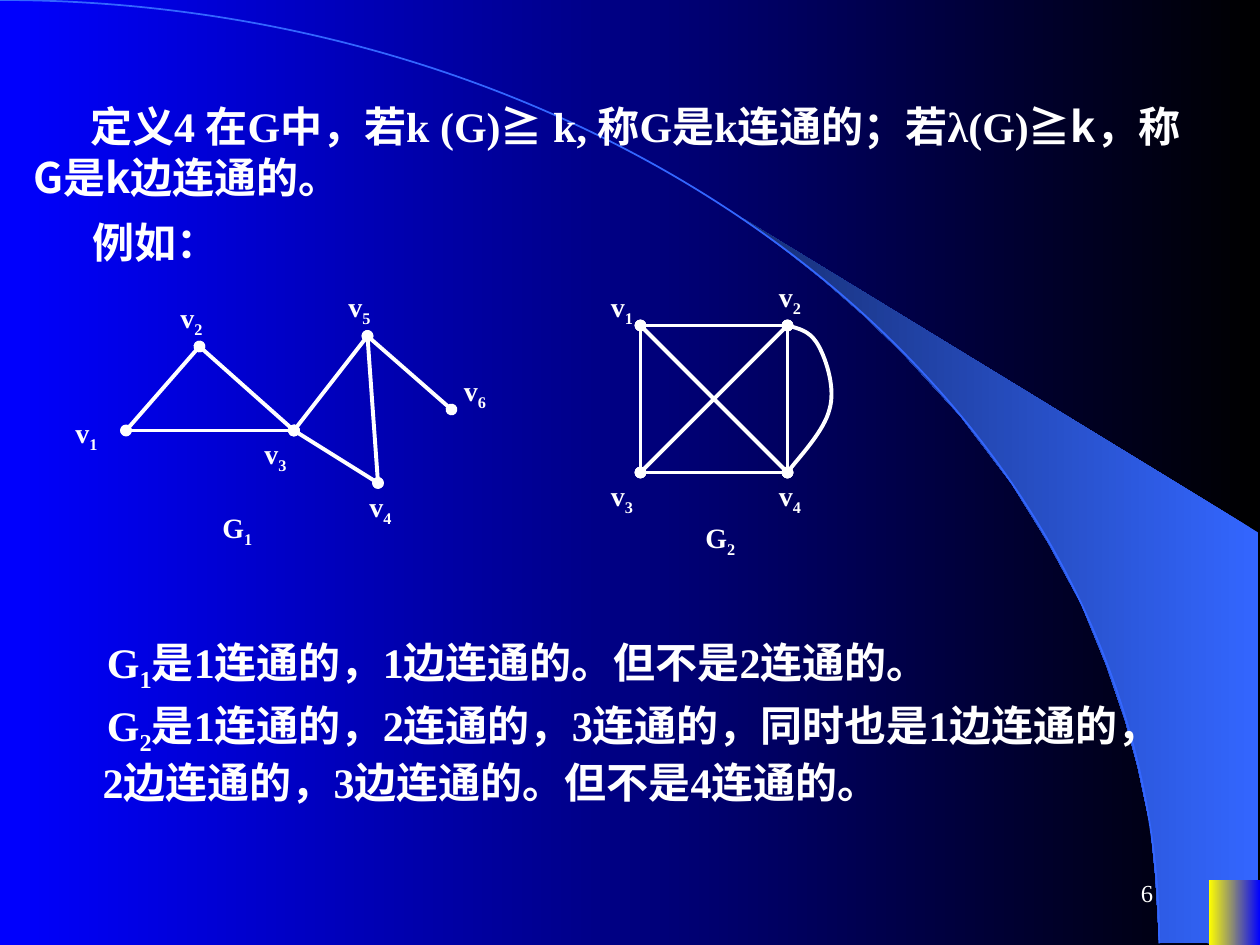
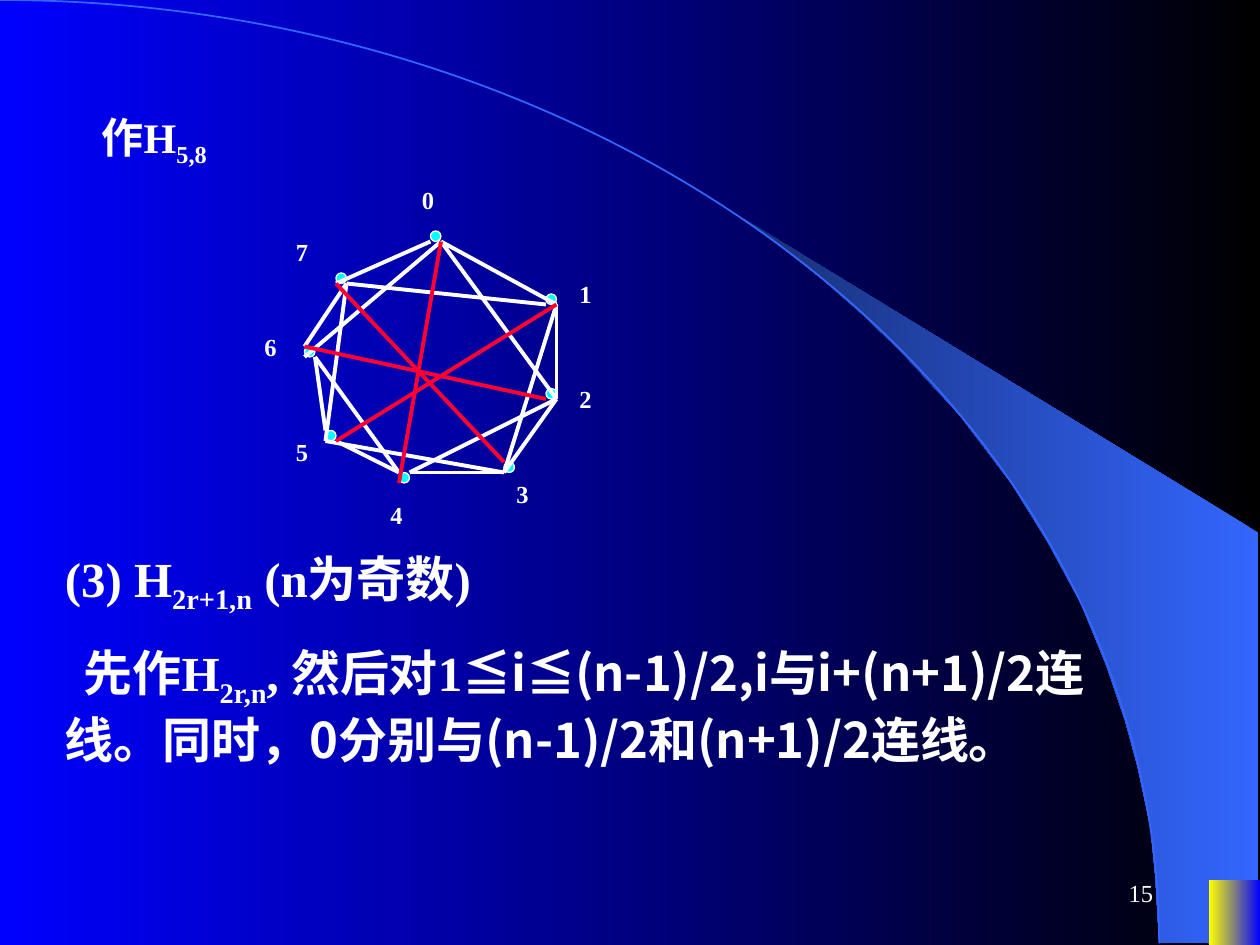
"""Two slides on k-connected graphs, laid out on a grid of twelfths of an inch."""
from lxml import etree
from pptx import Presentation
from pptx.dml.color import RGBColor
from pptx.enum.shapes import MSO_CONNECTOR, MSO_SHAPE
from pptx.enum.text import MSO_ANCHOR, MSO_AUTO_SIZE, PP_ALIGN
from pptx.oxml.ns import qn
from pptx.util import Inches, Pt

STRAIGHT = MSO_CONNECTOR.STRAIGHT
RECT, OVAL, ARC = MSO_SHAPE.RECTANGLE, MSO_SHAPE.OVAL, MSO_SHAPE.ARC
MIDDLE, GROW = MSO_ANCHOR.MIDDLE, MSO_AUTO_SIZE.SHAPE_TO_FIT_TEXT
RIGHT = PP_ALIGN.RIGHT

WHITE = RGBColor(0xFF, 0xFF, 0xFF)
BLACK = RGBColor(0, 0, 0)
BLUE = RGBColor(0, 0, 0xFF)
SKY = RGBColor(0x33, 0x66, 0xFF)
NAVY = RGBColor(0x17, 0x2F, 0x75)
YELLOW = RGBColor(0xFF, 0xFF, 0)
CYAN = RGBColor(0, 0xFF, 0xFF)
RED = RGBColor(0xFF, 0, 0x33)
SERIF, SANS = "Times New Roman", "Noto Sans CJK SC"
CELL = Inches(1) / 12

WEDGE = [(9.2, 7.48), (9.99, 7.49), (9.99, 4.23), (5.89, 1.73), (6.24, 1.99),
         (6.53, 2.22), (6.85, 2.5), (7.16, 2.8), (7.62, 3.3), (8.03, 3.84),
         (8.32, 4.31), (8.58, 4.79), (8.78, 5.28), (8.93, 5.72), (9.03, 6.09),
         (9.13, 6.56), (9.17, 6.96)]
SWEEP = (-110.4, 0, 220.8, 179.7)
CORNER = (115.15, 83.8, 4.85, 6.2)
FOOTER = (86, 82, 25, 6)

DEFINITION = [
    dict(at=(2, 9, 114, 10.8), first=5.4, runs=[
        ("定义4 在G中，若k (G)", ""), ("≧", "sans"), (" k, 称G是k连通的；若λ(G)", ""),
        ("≧k，称G是k边连通的。", "sans")]),
    dict(at=(4, 20, 99, 6), first=3.6, runs=[("例如：", "")]),
    dict(at=(4, 60, 107, 6.7), first=5, runs=[
        ("G", ""), ("1", "sub"), ("是1连通的，1边连通的。但不是2连通的。", "")]),
    dict(at=(5, 66, 108, 11.5), left=3.6, first=0.4, runs=[
        ("G", ""), ("2", "sub"),
        ("是1连通的，2连通的，3连通的，同时也是1边连通的，2边连通的，3边连通的。但不是4连通的。", "")]),
]
GRAPHS = [
    dict(name="1", at=(20, 48),
         nodes={1: (12, 41), 2: (19, 33), 3: (28, 41), 4: (36, 46), 5: (35, 32), 6: (43, 39)},
         tags={1: (6, 39), 2: (16, 28), 3: (24, 41), 4: (34, 46), 5: (32, 27), 6: (43, 35)},
         edges=[(2, 1), (2, 3), (1, 3), (3, 5), (5, 4), (3, 4), (5, 6)]),
    dict(name="2", at=(66, 49),
         nodes={1: (61, 31), 2: (75, 31), 3: (61, 45), 4: (75, 45)},
         tags={1: (57, 27), 2: (73, 26), 3: (57, 45), 4: (73, 45)},
         edges=[(1, 3), (1, 2), (3, 4), (2, 4), (1, 4), (2, 3)]),
]
BOW = [(75, 31), (76.2, 31.3), (77.3, 31.7), (78, 33), (78.7, 34.3),
       (79.6, 37), (79, 39), (78.5, 41), (75.7, 44), (75, 45)]

HARARY = [
    dict(at=(3, 10, 104, 6.7), first=5.5, runs=[("作H", ""), ("5,8", "sub")]),
    dict(at=(3, 51.6, 102, 7.6), first=2, size=28, anchor=MIDDLE, runs=[
        ("(3) H", ""), ("2r+1,n", "sub"), (" (n为奇数)", "")]),
    dict(at=(5, 60.6, 102, 13.2), first=1.8, size=28, anchor=MIDDLE, runs=[
        ("先作H", ""), ("2r,n", "sub"), (", 然后对1", ""),
        ("≦i≦(n-1)/2,i与i+(n+1)/2连线。同时，0分别与(n-1)/2和(n+1)/2连线。", "sans")]),
]
DOTS = [(41, 22), (52, 28), (52, 37), (48, 44), (38, 45), (31, 41), (29, 33), (32, 26)]
TAGS = [(39, 17), (54, 26), (54, 36), (48, 45), (36, 47), (27, 41), (24, 31), (27, 22)]
CHORDS = [(42, 23, 53, 38), (42, 23, 53, 29), (41, 23, 32, 27), (42, 23, 29, 34),
          (53, 29, 53, 38), (53, 29, 48, 45), (33, 27, 52, 29), (53, 38, 48, 45),
          (53, 38, 39, 45), (39, 45, 48, 45), (31, 42, 48, 45), (32, 42, 38, 45),
          (30, 34, 38, 45), (30, 34, 31, 41), (33, 27, 31, 42), (33, 27, 29, 33)]
SPOKES = [(42, 23, 38, 46), (32, 42, 53, 29), (29, 33, 52, 38), (32, 27, 48, 44)]


def grid(*cells):
    return [round(c * CELL) for c in cells]


def blend(fill, start, end):
    fill.gradient()
    fill.gradient_angle = 180
    for stop, color in zip(fill.gradient_stops, (start, end)):
        stop.color.rgb = color


def stroke(item, color, width, dots=False):
    item.line.color.rgb = color
    item.line.width = Pt(width)
    if dots:
        ln = item.line._get_or_add_ln()
        for end in ("a:headEnd", "a:tailEnd"):
            etree.SubElement(ln, qn(end), type="oval")


def link(slide, x1, y1, x2, y2, color=WHITE, dots=False):
    line = slide.shapes.add_connector(STRAIGHT, *grid(x1, y1, x2, y2))
    stroke(line, color, 2.25, dots)
    etree.SubElement(line._element.spPr, qn("a:effectLst"))


def preset(slide, kind, at):
    shape = slide.shapes.add_shape(kind, *grid(*at))
    shape.shadow.inherit = False
    return shape


def outline(slide, points, close=False):
    draft = slide.shapes.build_freeform(*points[0], scale=1.0)
    draft.add_line_segments(points[1:], close=close)
    shape = draft.convert_to_shape()
    shape.shadow.inherit = False
    return shape


def curve(slide, knots):
    shape = outline(slide, [grid(*knot) for knot in knots])
    lines = list(shape._element.iter(qn("a:lnTo")))
    for i in range(0, len(lines), 3):
        bend = etree.Element(qn("a:cubicBezTo"))
        lines[i].addprevious(bend)
        for line in lines[i:i + 3]:
            bend.append(line[0])
            line.getparent().remove(line)
    shape.fill.background()
    return shape


def write(slide, at, runs, size=24, bold=True, left=0, first=0, anchor=None, align=None):
    frame = slide.shapes.add_textbox(*grid(*at)).text_frame
    frame.word_wrap = True
    frame.auto_size = GROW
    if anchor is not None:
        frame.vertical_anchor = anchor
    para = frame.paragraphs[0]
    if align is not None:
        para.alignment = align
    props = para._p.get_or_add_pPr()
    for key, cells in (("marL", left), ("indent", first)):
        props.set(key, str(grid(cells)[0]))
    props.set("hangingPunct", "0")
    for text, style in runs:
        run = para.add_run()
        run.text = text
        font = run.font
        font.size, font.bold, font.color.rgb = Pt(size), bold, WHITE
        font.name = SANS if style == "sans" else SERIF
        etree.SubElement(font._element, qn("a:ea"), typeface=SANS)
        if style == "sub":
            font._element.set("baseline", "-25000")


def start(deck, number):
    slide = deck.slides.add_slide(deck.slide_layouts[6])
    blend(slide.background.fill, BLACK, BLUE)
    wedge = outline(slide, [(Inches(x), Inches(y)) for x, y in WEDGE], close=True)
    blend(wedge.fill, SKY, NAVY)
    wedge.line.fill.background()
    sweep = preset(slide, ARC, SWEEP)
    sweep.fill.background()
    stroke(sweep, SKY, 1)
    corner = preset(slide, RECT, CORNER)
    blend(corner.fill, BLUE, YELLOW)
    corner.line.fill.background()
    write(slide, FOOTER, [(number, "")], 14, False, anchor=MIDDLE, align=RIGHT)
    return slide


def define(deck):
    slide = start(deck, "6")
    for block in DEFINITION:
        write(slide, **block)
    for graph in GRAPHS:
        nodes = graph["nodes"]
        for a, b in graph["edges"]:
            link(slide, *nodes[a], *nodes[b], dots=True)
        for n, spot in graph["tags"].items():
            write(slide, (*spot, 6.2, 4.9), [("v", ""), (str(n), "sub")], 16)
        write(slide, (*graph["at"], 8, 4.9), [("G", ""), (graph["name"], "sub")], 16)
    stroke(curve(slide, BOW), WHITE, 2.25, dots=True)


def harary(deck):
    slide = start(deck, "15")
    for n, (spot, tag) in enumerate(zip(DOTS, TAGS)):
        dot = preset(slide, OVAL, (*spot, 1, 1))
        dot.fill.solid()
        dot.fill.fore_color.rgb = CYAN
        stroke(dot, WHITE, 0.75)
        write(slide, (*tag, 5.2, 4.1), [(str(n), "")], 14)
    for color, lines in ((WHITE, CHORDS), (RED, SPOKES)):
        for ends in lines:
            link(slide, *ends, color)
    for block in HARARY:
        write(slide, **block)


def main():
    deck = Presentation()
    deck.slide_width, deck.slide_height = Inches(10), Inches(7.5)
    define(deck)
    harary(deck)
    deck.save("out.pptx")


if __name__ == "__main__":
    main()
